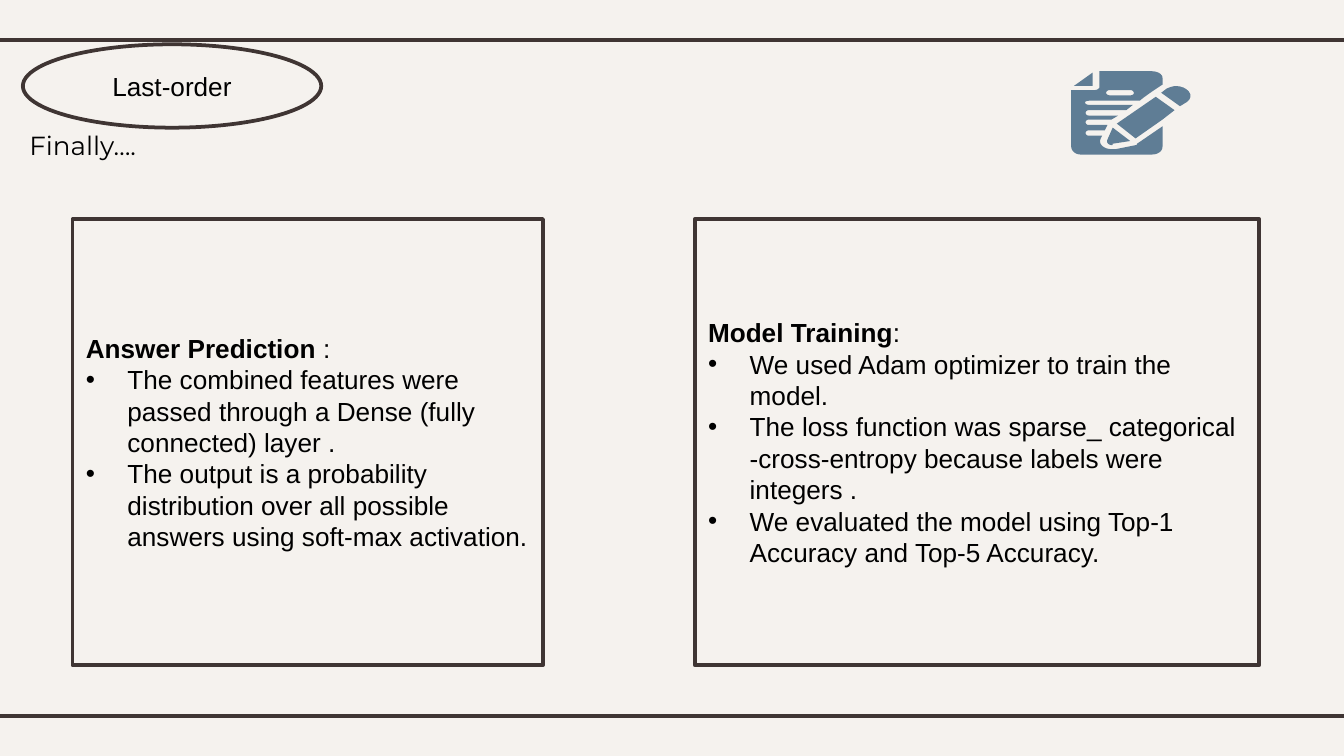
from pptx import Presentation
from pptx.dml.color import RGBColor
from pptx.enum.shapes import MSO_CONNECTOR, MSO_SHAPE
from pptx.enum.text import MSO_ANCHOR, PP_ALIGN
from pptx.oxml.xmlchemy import OxmlElement
from pptx.util import Inches, Pt

W = 10
H = W * 9 / 16
PAPER, INK, BLUE, BLACK = "F5F2EE", "3F3533", "5F7D95", "000000"
RULES = [0.3, 5.33]
INDENT = 0.31
CARD_TOP, CARD_HEIGHT = 1.63, 3.32
CARDS = [
    (0.54, 3.5, "Answer Prediction ", [
        "The combined features were passed through a Dense (fully connected) layer .",
        "The output is a probability distribution over all possible answers using soft-max activation.",
    ]),
    (5.17, 4.2, "Model Training", [
        "We used Adam optimizer to train the model.",
        "The loss function was sparse_ categorical -cross-entropy because labels were integers .",
        "We evaluated the model using Top-1 Accuracy and Top-5 Accuracy.",
    ]),
]
ICON = {
    "page": "M 841 67 C 844 67 845 71 841 71 L 826 71 C 822 71 822 67 826 67 "
            "M 818 53 L 818 65 C 818 66 816 67 815 67 L 797 67 L 797 109 "
            "C 797 112 800 115 804 115 L 857 115 C 861 115 865 113 865 109 "
            "L 865 94 L 846 107 C 846 107 846 108 845 108 L 830 111 "
            "C 829 111 828 111 827 111 C 821 111 817 107 819 103 L 820 101 "
            "L 810 101 C 807 101 807 97 810 97 L 822 97 L 824 93 "
            "L 810 93 C 807 93 807 89 810 89 L 827 89 L 832 86 "
            "L 810 86 C 807 86 807 82 810 82 L 838 82 L 843 78 "
            "L 810 78 C 807 78 806 75 810 75 L 848 75 C 850 73 863 64 865 63 "
            "L 865 58 C 865 55 861 53 857 53",
    "tip": "M 828 95 L 824 104 C 823 106 825 108 827 108 C 828 108 828 108 828 107 L 841 105",
    "eraser": "M 875 64 C 873 64 870 65 868 66 L 864 69 L 878 79 L 883 76 C 890 71 883 64 875 64",
    "barrel": "M 860 72 L 831 92 L 845 103 L 865 89 L 874 82",
    "fold": "M 813 54 L 799 64 L 813 64",
}


def rgb(color):
    return RGBColor.from_string(color)


def style(sp, fill, line=None):
    sp.shadow.inherit = False
    sp.fill.solid()
    sp.fill.fore_color.rgb = rgb(fill)
    if line:
        sp.line.color.rgb = rgb(line)
        sp.line.width = Pt(2)
    else:
        sp.line.fill.background()


def add_run(p, text, **fmt):
    r = p.add_run()
    r.text = text
    for key, value in {"size": Pt(14), "name": "Arial", **fmt}.items():
        setattr(r.font, key, value)
    r.font.color.rgb = rgb(BLACK)


def add_bullet(p):
    pPr = p._p.get_or_add_pPr()
    pPr.set("marL", str(Inches(INDENT)))
    pPr.set("indent", str(-Inches(INDENT)))
    font = OxmlElement("a:buFont")
    font.set("typeface", "Arial")
    mark = OxmlElement("a:buChar")
    mark.set("char", "•")
    pPr.extend([font, mark])


def add_box(s, kind, x, y, w, h):
    sp = s.shapes.add_shape(kind, *map(Inches, (x, y, w, h)))
    style(sp, PAPER, INK)
    tf = sp.text_frame
    tf.word_wrap, tf.vertical_anchor = True, MSO_ANCHOR.MIDDLE
    return tf


def add_card(s, x, w, title, bullets):
    tf = add_box(s, MSO_SHAPE.RECTANGLE, x, CARD_TOP, w, CARD_HEIGHT)
    p = tf.paragraphs[0]
    add_run(p, title, bold=True)
    add_run(p, ":")
    for text in bullets:
        p = tf.add_paragraph()
        add_bullet(p)
        add_run(p, text)
    for p in tf.paragraphs:
        p.alignment = PP_ALIGN.LEFT


def curve(points, steps=8):
    a, b, c, d = points
    for t in (i / steps for i in range(1, steps + 1)):
        u = 1 - t
        yield tuple(u**3 * a[k] + 3 * u * u * t * b[k] + 3 * u * t * t * c[k] + t**3 * d[k]
                    for k in (0, 1))


def contours(outline):
    for part in outline.split("M")[1:]:
        points = []
        for step in part.replace("L", "|L").replace("C", "|C").split("|"):
            nums = [Inches(float(n) / 100) for n in step.strip("LC ").split()]
            pairs = list(zip(nums[::2], nums[1::2]))
            points += curve([points[-1], *pairs]) if step[0] == "C" else pairs
        yield points


def add_outline(s, outline):
    first, *rest = contours(outline)
    fb = s.shapes.build_freeform(*first[0])
    fb.add_line_segments(first[1:], close=True)
    for points in rest:
        fb.move_to(*points[0])
        fb.add_line_segments(points[1:], close=True)
    style(fb.convert_to_shape(), BLUE)


def main():
    """Build the closing slide on prediction and training."""
    prs = Presentation()
    prs.slide_width, prs.slide_height = Inches(W), Inches(H)
    s = prs.slides.add_slide(prs.slide_layouts[6])
    s.background.fill.solid()
    s.background.fill.fore_color.rgb = rgb(PAPER)

    for y in RULES:
        rule = s.shapes.add_connector(MSO_CONNECTOR.STRAIGHT, 0, Inches(y), Inches(W), Inches(y))
        rule.line.color.rgb = rgb(INK)
        rule.line.width = Pt(2.25)
        rule._element.spPr.append(OxmlElement("a:effectLst"))

    tf = s.shapes.add_textbox(*map(Inches, (0.12, 0.86, 9.78, 0.43))).text_frame
    tf.word_wrap = True
    tf.margin_top = tf.margin_bottom = Inches(0.1)
    add_run(tf.paragraphs[0], "Finally….", name="Montserrat")

    for card in CARDS:
        add_card(s, *card)

    p = add_box(s, MSO_SHAPE.OVAL, 0.17, 0.33, 2.22, 0.62).paragraphs[0]
    p.alignment = PP_ALIGN.CENTER
    add_run(p, "Last-order")

    for outline in ICON.values():
        add_outline(s, outline)

    prs.save("out.pptx")


if __name__ == "__main__":
    main()
